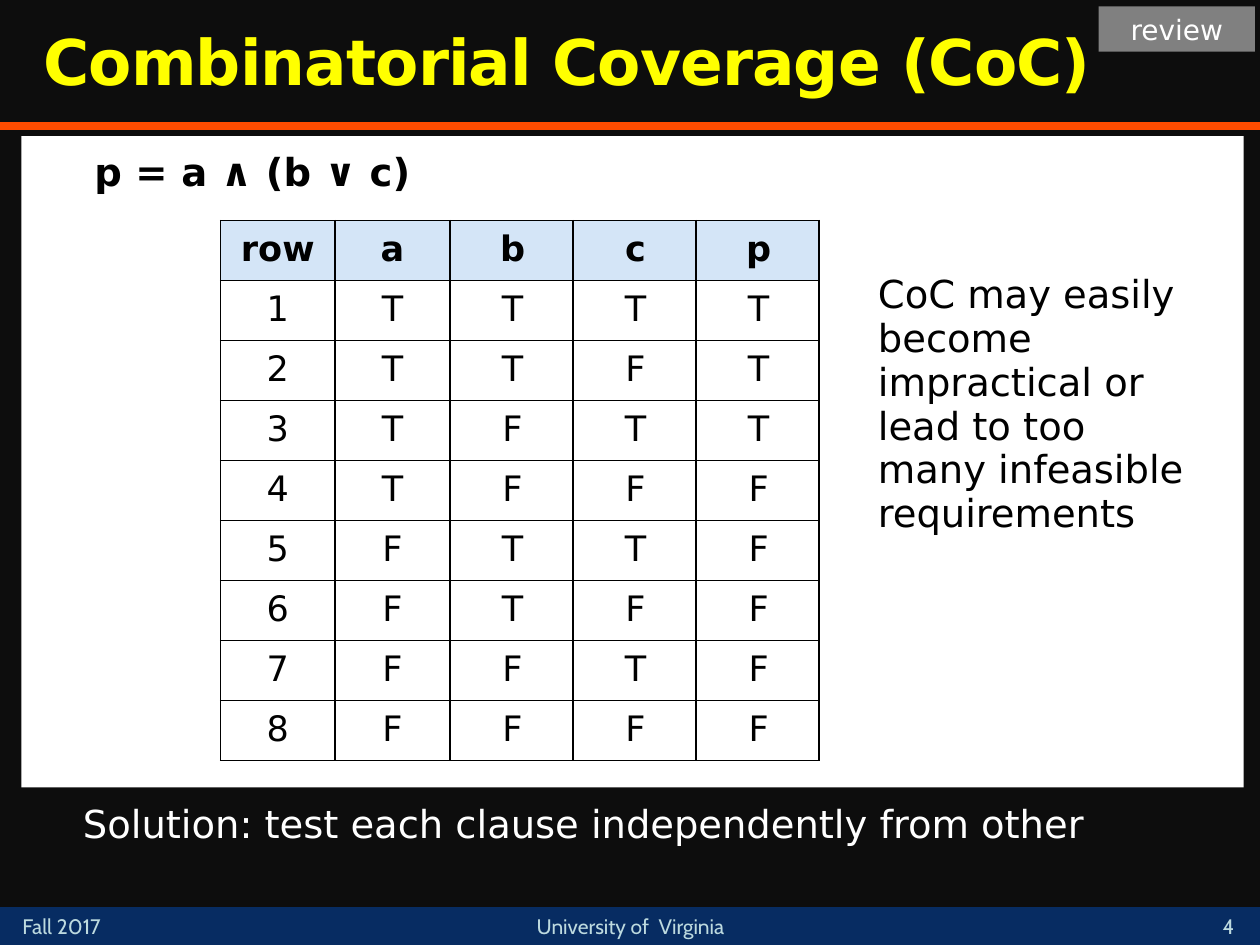
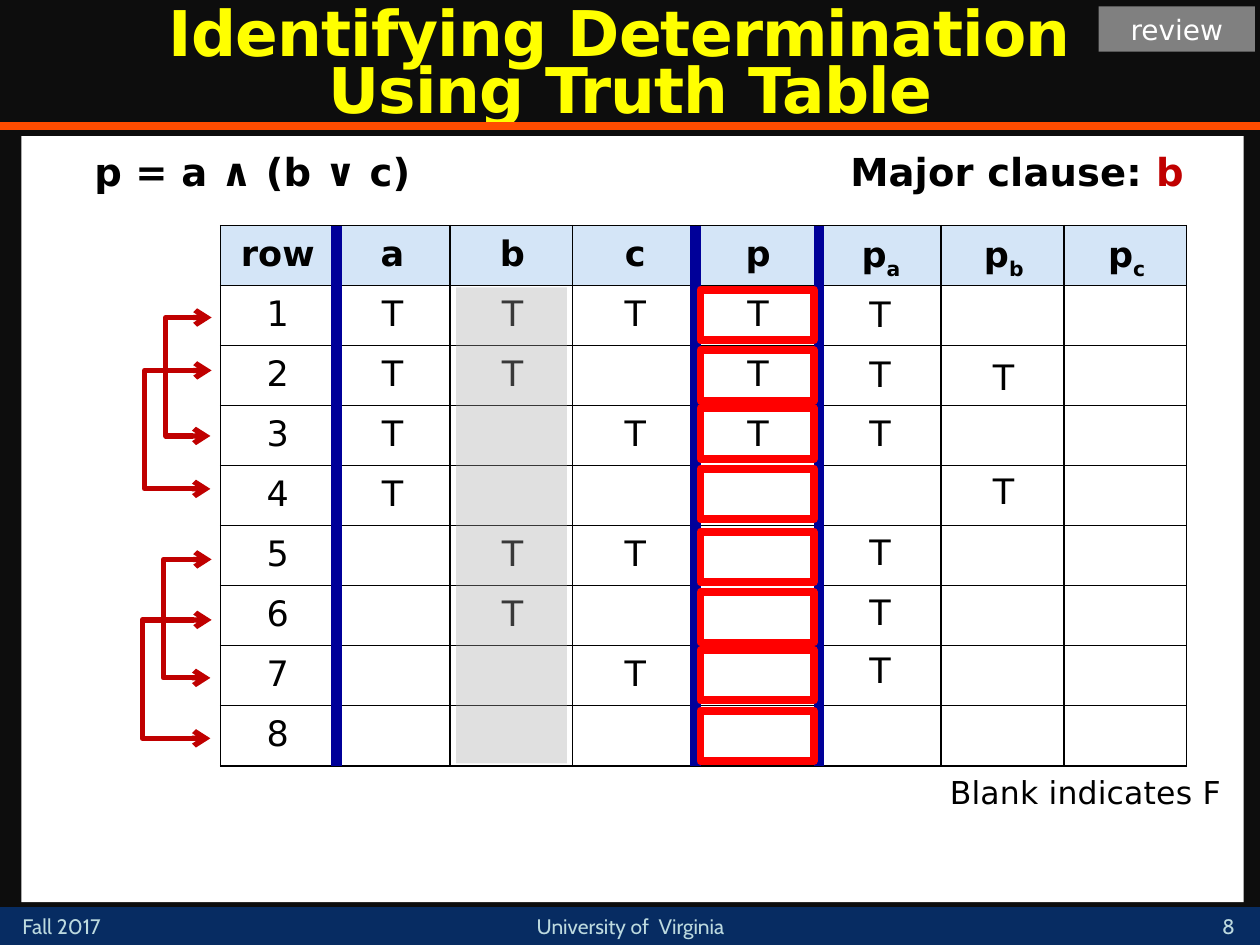
from copy import deepcopy

from lxml import etree
from pptx import Presentation
from pptx.dml.color import RGBColor
from pptx.enum.shapes import MSO_CONNECTOR, MSO_SHAPE
from pptx.enum.text import MSO_ANCHOR, MSO_AUTO_SIZE, PP_ALIGN
from pptx.oxml.ns import qn
from pptx.util import Inches, Pt

LEFT, CENTER = PP_ALIGN.LEFT, PP_ALIGN.CENTER
TOP, MIDDLE, BOTTOM = MSO_ANCHOR.TOP, MSO_ANCHOR.MIDDLE, MSO_ANCHOR.BOTTOM
RECT, STRAIGHT, ELBOW = MSO_SHAPE.RECTANGLE, MSO_CONNECTOR.STRAIGHT, MSO_CONNECTOR.ELBOW

INK = RGBColor(0x0D, 0x0D, 0x0D)
BLACK = RGBColor(0, 0, 0)
WHITE = RGBColor(0xFF, 0xFF, 0xFF)
YELLOW = RGBColor(0xFF, 0xFF, 0)
ORANGE = RGBColor(0xFF, 0x4C, 0)
NAVY = RGBColor(0x07, 0x2C, 0x62)
PALE = RGBColor(0xBD, 0xDA, 0xDF)
GREY = RGBColor(0x80, 0x80, 0x80)
SHADE = RGBColor(0xA6, 0xA6, 0xA6)
HEADER = RGBColor(0xD4, 0xE5, 0xF7)
BLUE = RGBColor(0, 0, 0x99)
DARK_RED = RGBColor(0xC0, 0, 0)
RED = RGBColor(0xFF, 0, 0)
SANS, FOOT_FONT = "DejaVu Sans", "Cabin"

# Content
PREDICATE = "p = a ∧ (b ∨ c)"
COVERAGE = {
    "title": "Combinatorial Coverage (CoC)", "title_width": 9,
    "number": "4", "panel_height": 5.17,
    "rows": ["row a b c p", "1 T T T T", "2 T T F T", "3 T F T T", "4 T F F F",
             "5 F T T F", "6 F T F F", "7 F F T F", "8 F F F F"],
    "table": (1.75, 1.75, 4.75),
}
DETERMINATION = {
    "title": "Identifying Determination \nUsing Truth Table", "title_width": 10,
    "number": "8", "panel_height": 6.08,
    # "-" leaves a cell blank; "p_a" sets a as subscript
    "rows": ["row a b c p p_a p_b p_c", "1 T T T T - - -", "2 T T - T - - -",
             "3 T - T T - - -", "4 T - - - - - -", "5 - T T - - - -",
             "6 - T - - - - -", "7 - - T - - - -", "8 - - - - - - -"],
    "table": (1.75, 1.79, 7.67),
}
NOTE = "CoC may easily become impractical or lead to too many infeasible requirements"
SOLUTION = "Solution: test each clause independently from other"
FOOTERS = [  # text or None for the slide number, box, alignment, anchor
    ("Fall 2017", (0.08, 7.2, 1.17, 0.3), LEFT, TOP),
    (None, (9.5, 7.17, 0.5, 0.33), CENTER, BOTTOM),
    ("University of  Virginia", (3.67, 7.2, 2.67, 0.3), CENTER, TOP),
]

# Geometry of the truth tables and of the row pairs
TABLE_HEIGHT, ROW_COUNT = 4.29, 9
ROW_HEIGHT = TABLE_HEIGHT / ROW_COUNT
NARROW = 0.91
PAIR_GAP = 0.94
DIVIDERS = [2.67, 5.52, 6.5]
ARROW_PAIRS = [(2.52, 1.31), (2.94, 1.14), (4.44, 1.29), (4.92, 1.12)]  # top, elbow x
BOX_PAIRS = [2.3, 2.78, 4.22, 4.7]
DETERMINING = {6.49: [2.27, 2.75, 3.22, 4.16, 4.64, 5.1], 7.47: [2.77, 3.68]}


def inches(*values):
    return [Inches(v) for v in values]


def write(tf, runs, size, color=BLACK, font=SANS, bold=False, align=LEFT,
          anchor=TOP, line=1.0, indent=0, tracking=0):
    """Fill a frame with one paragraph; runs is a string or (text, extras) pairs.

    A newline in a string becomes a line break.
    """
    tf.word_wrap = True
    tf.vertical_anchor = anchor
    p = tf.paragraphs[0]
    p.alignment, p.line_spacing = align, line
    if indent:
        pPr = p._p.get_or_add_pPr()
        pPr.set("marL", str(Inches(indent)))
        pPr.set("indent", "0")
    if isinstance(runs, str):
        runs = [(part, {"break": i > 0}) for i, part in enumerate(runs.split("\n"))]
    for text, extra in runs:
        if extra.get("break"):
            p.add_line_break()
            p._p[-1].append(deepcopy(rPr))
        r = p.add_run()
        r.text = text
        for name, value in dict(name=font, size=Pt(size), bold=bold).items():
            setattr(r.font, name, value)
        r.font.color.rgb = extra.get("color", color)
        rPr = r._r.get_or_add_rPr()
        if tracking:
            rPr.set("spc", str(tracking))
        if "baseline" in extra:
            rPr.set("baseline", str(extra["baseline"]))


def add_text(s, box, runs, size, **fmt):
    write(s.shapes.add_textbox(*inches(*box)).text_frame, runs, size, **fmt)


def add_rect(shapes, box, fill=None, line=None, width=0):
    sp = shapes.add_shape(RECT, *inches(*box))
    sp.shadow.inherit = False
    if fill is None:
        sp.fill.background()
    else:
        sp.fill.solid()
        sp.fill.fore_color.rgb = fill
    if line is None:
        sp.line.fill.background()
    else:
        sp.line.color.rgb = line
        sp.line.width = Pt(width)
    return sp


def add_line(s, kind, ends, color, width):
    cx = s.shapes.add_connector(kind, *inches(*ends))
    cx.line.color.rgb = color
    cx.line.width = Pt(width)
    etree.SubElement(cx._element.spPr, qn("a:effectLst"))
    return cx


def add_pair_arrow(s, top, elbow):
    """Double-headed bracket that joins two rows of the table."""
    start, end = 1.68, 1.67
    cx = add_line(s, ELBOW, (start, top, end, top + PAIR_GAP), DARK_RED, 3)
    ln = cx.line._get_or_add_ln()
    for tag in ("a:headEnd", "a:tailEnd"):
        etree.SubElement(ln, qn(tag), type="arrow")
    guides = cx._element.spPr.find(qn("a:prstGeom")).get_or_add_avLst()
    bend = round((start - elbow) / (start - end) * 100000)
    etree.SubElement(guides, qn("a:gd"), name="adj1", fmla=f"val {bend}")


def set_borders(cell, color):
    tcPr = cell._tc.get_or_add_tcPr()
    for i, side in enumerate(("a:lnL", "a:lnR", "a:lnT", "a:lnB")):
        ln = etree.Element(qn(side), w=str(Pt(1)))
        if color is None:
            etree.SubElement(ln, qn("a:noFill"))
        else:
            fill = etree.SubElement(ln, qn("a:solidFill"))
            etree.SubElement(fill, qn("a:srgbClr"), val=str(color))
        tcPr.insert(i, ln)


def add_table(s, rows, box, widths, border=BLACK, header=True):
    cells = [row.split() for row in rows]
    table = s.shapes.add_table(len(cells), len(widths), *inches(*box)).table
    table.first_row = table.horz_banding = False
    for column, width in zip(table.columns, widths):
        column.width = Inches(width)
    for i, values in enumerate(cells):
        table.rows[i].height = Inches(ROW_HEIGHT)
        is_header = header and i == 0
        for j, value in enumerate(values):
            cell = table.cell(i, j)
            if is_header:
                cell.fill.solid()
                cell.fill.fore_color.rgb = HEADER
            else:
                cell.fill.background()
            set_borders(cell, border)
            if value != "-":
                base, _, sub = value.partition("_")
                runs = [(base, {})] + ([(sub, {"baseline": -25000})] if sub else [])
                write(cell.text_frame, runs, 20, bold=is_header, align=CENTER,
                      line=0.9, indent=0.02 if j > 1 or not header else 0)
            cell.vertical_anchor = MIDDLE


def add_truth_table(s, content):
    left, top, width = content["table"]
    wide_count = len(content["rows"][0].split()) - 2
    widths = [NARROW] * 2 + [(width - 2 * NARROW) / wide_count] * wide_count
    add_table(s, content["rows"], (left, top, width, TABLE_HEIGHT), widths)


def add_label(s, box, runs, size=22, bold=True):
    add_text(s, box, runs, size, bold=bold, line=0.9, indent=0.02, tracking=10)


def add_remark(s, box, text, color):
    add_text(s, box, text, 22, color=color, line=0.95, indent=0.14)


def add_base_slide(prs, content):
    """Footer band, title, review tag, white panel, predicate and truth table."""
    s = prs.slides.add_slide(prs.slide_layouts[5])
    add_rect(s.shapes, (0, 7.2, 10, 0.3), NAVY)
    add_line(s, STRAIGHT, (0, 1, 10, 1), ORANGE, 4.5)
    for text, box, align, anchor in FOOTERS:
        add_text(s, box, text or content["number"], 12, color=PALE, font=FOOT_FONT,
                 align=align, anchor=anchor)

    title = s.shapes.title
    title.left, title.top, title.width, title.height = inches(
        0, 0.04, content["title_width"], 1)
    title.text_frame.auto_size = MSO_AUTO_SIZE.NONE
    write(title.text_frame, content["title"], 36, color=YELLOW, bold=True,
          align=CENTER, anchor=MIDDLE, line=0.75, tracking=-50)

    tag = add_rect(s.shapes, (8.72, 0.05, 1.24, 0.36), GREY)
    write(tag.text_frame, "review", 16, color=WHITE, align=CENTER)
    add_rect(s.shapes, (0.17, 1.08, 9.7, content["panel_height"]), WHITE)
    add_label(s, (0.63, 1.17, 3.12, 0.5), PREDICATE)
    add_truth_table(s, content)
    return s


def build_coverage(prs):
    s = add_base_slide(prs, COVERAGE)
    add_remark(s, (6.73, 2.12, 2.77, 2.21), NOTE, BLACK)
    add_remark(s, (0.42, 6.33, 9.08, 0.45), SOLUTION, WHITE)


def build_determination(prs):
    s = add_base_slide(prs, DETERMINATION)
    add_label(s, (6.63, 1.17, 3.12, 0.5),
              [("Major clause: ", {}), ("b", {"color": DARK_RED})])
    table_top = DETERMINATION["table"][1]
    for x in DIVIDERS:
        add_line(s, STRAIGHT, (x, table_top, x, table_top + TABLE_HEIGHT), BLUE, 6)

    # Results laid over the blank determination columns
    for x, tops in DETERMINING.items():
        for top in tops:
            add_table(s, ["T"], (x, top, 0.97, ROW_HEIGHT), [0.97],
                      border=None, header=False)

    # Row pairs that differ only in the major clause
    for top, elbow in ARROW_PAIRS:
        add_pair_arrow(s, top, elbow)
    for top in BOX_PAIRS:
        group = s.shapes.add_group_shape()
        for y in (top, top + PAIR_GAP):
            add_rect(group.shapes, (5.56, y, 0.9, 0.4), line=RED, width=4.5)

    add_label(s, (7.42, 6.12, 2.53, 0.54), "Blank indicates F", 18, bold=False)

    # Translucent shade over column b
    shade = add_rect(s.shapes, (3.62, 2.28, 0.88, 3.78), SHADE)
    color = shade._element.spPr.find(qn("a:solidFill")).find(qn("a:srgbClr"))
    etree.SubElement(color, qn("a:alpha"), val="34000")


def main():
    prs = Presentation()
    prs.slide_width, prs.slide_height = inches(10, 7.5)
    background = prs.slide_master.background.fill
    background.solid()
    background.fore_color.rgb = INK
    build_coverage(prs)
    build_determination(prs)
    prs.save("out.pptx")


if __name__ == "__main__":
    main()
